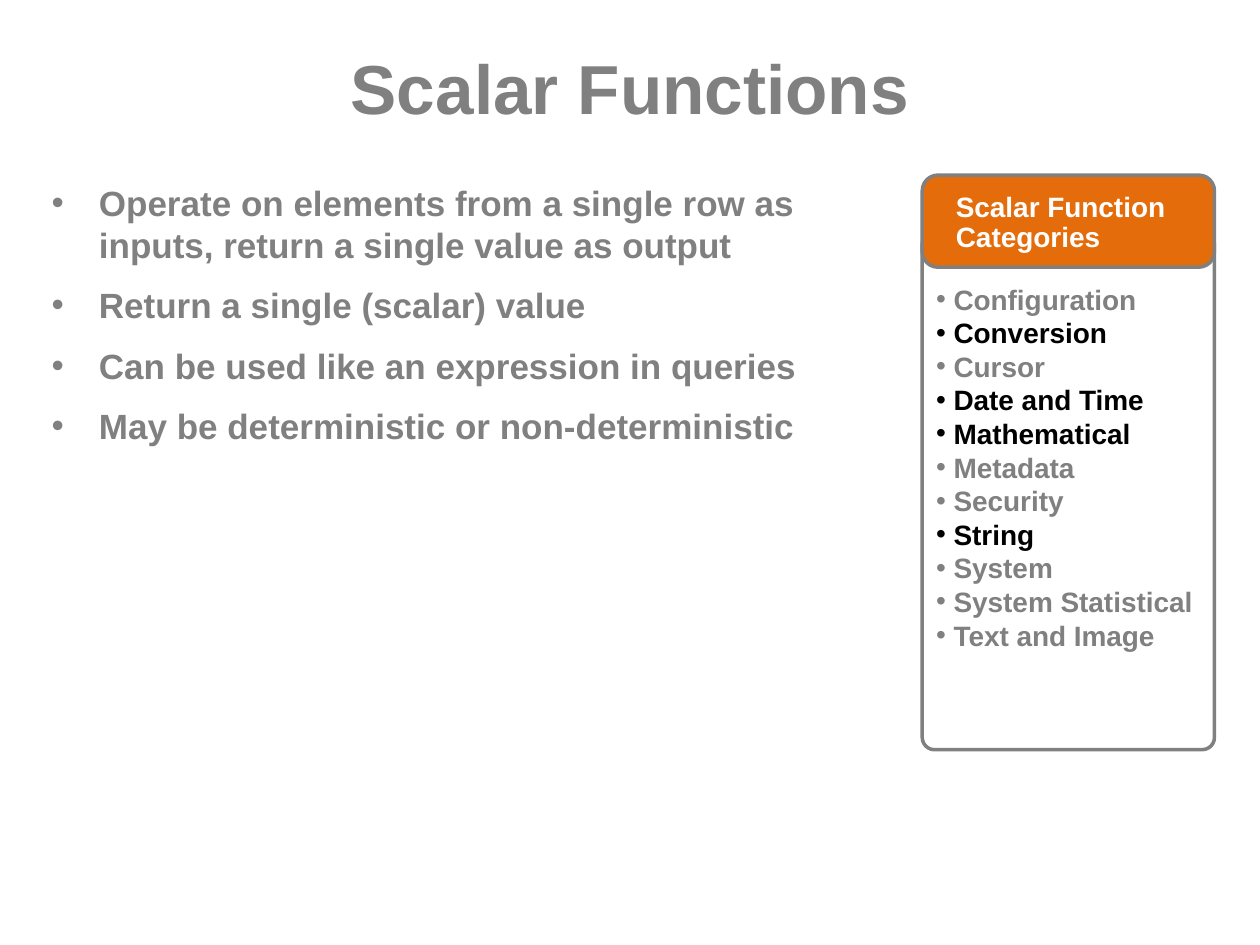
from lxml import etree
from pptx import Presentation
from pptx.dml.color import RGBColor
from pptx.enum.shapes import MSO_SHAPE
from pptx.enum.text import MSO_ANCHOR, MSO_AUTO_SIZE, PP_ALIGN
from pptx.oxml.ns import qn
from pptx.util import Pt

ROUNDED = MSO_SHAPE.ROUNDED_RECTANGLE
TOP, MIDDLE = MSO_ANCHOR.TOP, MSO_ANCHOR.MIDDLE
NO_FIT = MSO_AUTO_SIZE.NONE
LEFT, CENTER = PP_ALIGN.LEFT, PP_ALIGN.CENTER

GRAY, BLACK, WHITE, ORANGE = "808080", "000000", "FFFFFF", "E46C0A"
POINTS = [
    "Operate on elements from a single row as inputs, return a single value as output",
    "Return a single (scalar) value",
    "Can be used like an expression in queries",
    "May be deterministic or non-deterministic",
]
CATEGORIES = [
    "Configuration", "Conversion", "Cursor", "Date and Time", "Mathematical", "Metadata",
    "Security", "String", "System", "System Statistical", "Text and Image",
]
HIGHLIGHTED = {"Conversion", "Date and Time", "Mathematical", "String"}


def color(hex_value):
    """Turn a hex string into a color."""
    return RGBColor.from_string(hex_value)


def apply(target, formats):
    """Set each attribute in the format values."""
    for attribute, value in formats.items():
        setattr(target, attribute, value)


def place(part, left, top, width, height):
    """Move and size a part, in points."""
    apply(part, {"left": Pt(left), "top": Pt(top), "width": Pt(width), "height": Pt(height)})


def write(paragraph, text, size, hex_value):
    """Add bold text to a paragraph."""
    run = paragraph.add_run()
    run.text = text
    apply(run.font, {"name": "Arial", "size": Pt(size), "bold": True})
    run.font.color.rgb = color(hex_value)


def set_frame(frame, anchor, insets):
    """Set wrapping, anchor and the left, top, right and bottom insets."""
    left, top, right, bottom = map(Pt, insets)
    apply(frame, {
        "word_wrap": True, "auto_size": NO_FIT, "vertical_anchor": anchor,
        "margin_left": left, "margin_top": top, "margin_right": right, "margin_bottom": bottom,
    })


def add_bullets(frame, items, size, indent, gap):
    """Fill a frame with bulleted (text, color) items."""
    for index, (text, hex_value) in enumerate(items):
        paragraph = frame.add_paragraph() if index else frame.paragraphs[0]
        properties = paragraph._p.get_or_add_pPr()
        properties.set("marL", str(Pt(indent)))
        properties.set("indent", str(-Pt(indent)))
        etree.SubElement(properties, qn("a:buFont")).set("typeface", "Arial")
        etree.SubElement(properties, qn("a:buChar")).set("char", "•")
        apply(paragraph, {"alignment": LEFT, "space_before": Pt(gap if index else 0)})
        write(paragraph, text, size, hex_value)


def fill_title(title, box):
    """Place the slide title in its box."""
    place(title, *box)
    set_frame(title.text_frame, MIDDLE, (7.2, 3.6, 7.2, 3.6))
    heading = title.text_frame.paragraphs[0]
    heading.alignment = CENTER
    write(heading, "Scalar Functions", 39.6, GRAY)


def fill_points(body, box):
    """Place the main list in its box."""
    place(body, *box)
    set_frame(body.text_frame, TOP, (7.2, 3.6, 7.2, 3.6))
    add_bullets(body.text_frame, [(point, GRAY) for point in POINTS], 20, 27, 10.5)


def add_card(group, box, fill, corner):
    """Add an outlined rounded card to a group."""
    card = group.shapes.add_shape(ROUNDED, *map(Pt, box))
    card.adjustments[0] = corner
    card.shadow.inherit = False
    card.fill.solid()
    card.fill.fore_color.rgb = color(fill)
    card.line.color.rgb = color(GRAY)
    card.line.width = Pt(2)
    return card


def add_category_panel(slide, left, top, width, height):
    """Add the category panel with its header and list."""
    panel = slide.shapes.add_group_shape()
    add_card(panel, (left, top + 32.4, width, height - 32.4), WHITE, 0.042)

    header = add_card(panel, (left, top, width, 52.6), ORANGE, 0.17).text_frame
    set_frame(header, MIDDLE, (16.6, 6.5, 7.2, 3.6))
    caption = header.paragraphs[0]
    apply(caption, {"alignment": LEFT, "line_spacing": 0.9})
    write(caption, "Scalar Function Categories", 16, WHITE)

    list_box = (left + 7.9, top + 61.2, width - 18.7, height - 72)
    categories = panel.shapes.add_textbox(*map(Pt, list_box)).text_frame
    set_frame(categories, TOP, (0, 0, 0, 0))
    items = [(name, BLACK if name in HIGHLIGHTED else GRAY) for name in CATEGORIES]
    add_bullets(categories, items, 16, 10, 0)


def main():
    """Build and save the slide."""
    presentation = Presentation()
    apply(presentation, {"slide_width": Pt(720), "slide_height": Pt(540)})
    slide = presentation.slides.add_slide(presentation.slide_layouts[1])
    fill_title(slide.shapes.title, (36, 21.6, 648, 56.2))
    fill_points(slide.placeholders[1], (22.3, 100.1, 488.2, 362.2))
    add_category_panel(slide, 527, 100.1, 167, 328.3)
    presentation.save("out.pptx")


if __name__ == "__main__":
    main()
